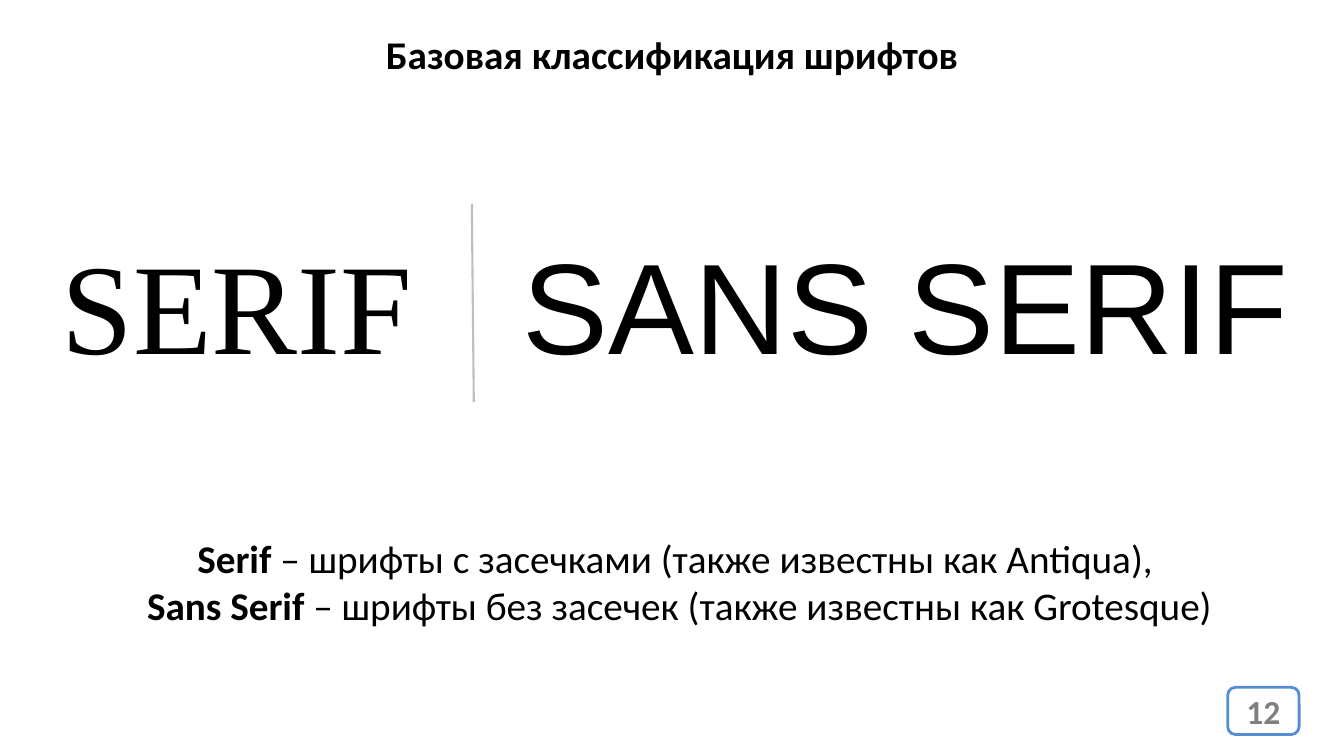
from dataclasses import dataclass

from pptx import Presentation
from pptx.dml.color import RGBColor
from pptx.enum.shapes import MSO_CONNECTOR, MSO_SHAPE
from pptx.enum.text import MSO_ANCHOR, MSO_AUTO_SIZE, PP_ALIGN
from pptx.oxml.ns import qn
from pptx.util import Cm, Pt


@dataclass(frozen=True)
class Theme:
    """Colours, fonts and type sizes of the slide."""
    ink: RGBColor = RGBColor(0, 0, 0)
    paper: RGBColor = RGBColor(255, 255, 255)
    muted: RGBColor = RGBColor(0x80, 0x80, 0x80)
    rule: RGBColor = RGBColor(0xBF, 0xBF, 0xBF)
    accent: RGBColor = RGBColor(0x55, 0x8E, 0xD5)
    body_font: str = "Calibri"
    serif_font: str = "Times New Roman"
    sans_font: str = "Arial"
    body: Pt = Pt(28)
    sample: Pt = Pt(92)
    number: Pt = Pt(24)


class SlideBuilder:
    """Draws styled elements on the current slide."""

    def __init__(self, s, theme):
        self.s = s
        self.theme = theme

    def fill_text(self, tf, paragraphs, align, **fmt):
        """Fill a text frame with paragraphs of (text, bold) runs."""
        style = {"name": self.theme.body_font, "size": self.theme.body, **fmt}
        color = style.pop("color", self.theme.ink)
        for i, runs in enumerate(paragraphs):
            p = tf.add_paragraph() if i else tf.paragraphs[0]
            p.alignment = align
            for text, bold in runs:
                r = p.add_run()
                r.text = text
                for key, value in {**style, "bold": bold}.items():
                    setattr(r.font, key, value)
                r.font.color.rgb = color

    def text(self, box, paragraphs, align=PP_ALIGN.CENTER, wrap=True, **fmt):
        """Add a text box that grows with its text."""
        tf = self.s.shapes.add_textbox(*map(Cm, box)).text_frame
        tf.word_wrap = wrap
        tf.auto_size = MSO_AUTO_SIZE.SHAPE_TO_FIT_TEXT
        self.fill_text(tf, paragraphs, align, **fmt)

    def sample(self, box, text, font):
        """Add a large typeface sample."""
        self.text(box, [[(text, False)]], PP_ALIGN.LEFT, False,
                  name=font, size=self.theme.sample)

    def badge(self, box, text):
        """Add the rounded page number."""
        sp = self.s.shapes.add_shape(MSO_SHAPE.ROUNDED_RECTANGLE, *map(Cm, box))
        sp.shadow.inherit = False
        sp.fill.solid()
        sp.fill.fore_color.rgb = self.theme.paper
        sp.line.color.rgb = self.theme.accent
        sp.line.width = Pt(2)
        sp.text_frame.vertical_anchor = MSO_ANCHOR.MIDDLE
        self.fill_text(sp.text_frame, [[(text, True)]], PP_ALIGN.CENTER,
                       size=self.theme.number, color=self.theme.muted)

    def divider(self, ends):
        """Add a thin straight line."""
        c = self.s.shapes.add_connector(MSO_CONNECTOR.STRAIGHT, *map(Cm, ends))
        c.line.color.rgb = self.theme.rule
        c.line.width = Pt(1.5)
        sp_pr = c._element.spPr
        sp_pr.append(sp_pr.makeelement(qn("a:effectLst"), {}))


def main():
    """Build and save the slide."""
    prs = Presentation()
    prs.slide_width, prs.slide_height = Cm(33.87), Cm(19.05)
    theme = Theme()
    b = SlideBuilder(prs.slides.add_slide(prs.slide_layouts[6]), theme)

    b.badge((30.94, 17.32, 1.8, 1.19), "12")
    b.text((0, 0.64, 33.87, 1.45), [[("Базовая классификация шрифтов", True)]])
    b.text((1.32, 13.34, 31.6, 2.64), [
        [("Serif", True),
         (" – шрифты с засечками (также известны как Antiqua), ", False)],
        [("Sans Serif ", True),
         ("– шрифты без засечек (также известны как Grotesque)", False)],
    ])
    b.sample((1.3, 5.56, 9.45, 4.19), "SERIF", theme.serif_font)
    b.sample((12.93, 5.56, 20.02, 4.19), "SANS SERIF", theme.sans_font)
    b.divider((11.89, 5.13, 11.94, 10.13))

    prs.save("out.pptx")


if __name__ == "__main__":
    main()
